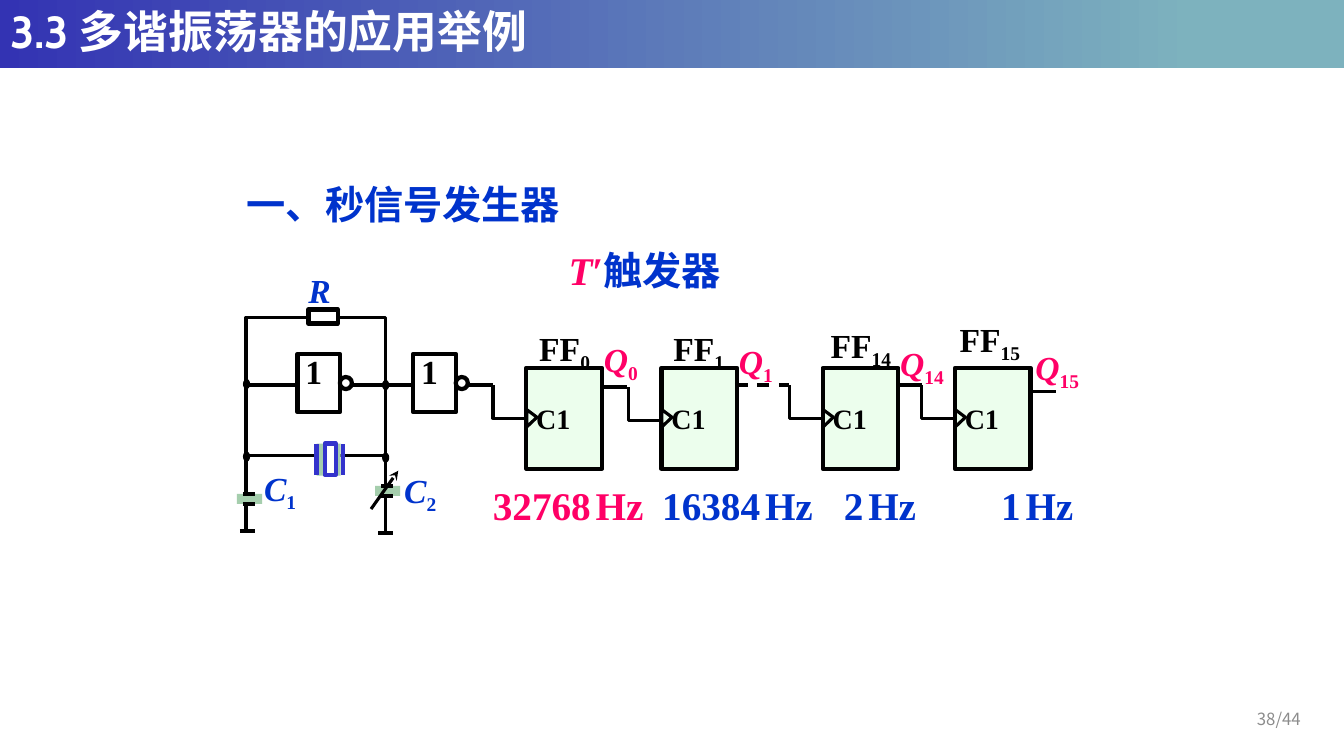
"""Build the slide showing a one-second signal generator circuit."""
from lxml.etree import SubElement
from pptx import Presentation
from pptx.dml.color import RGBColor
from pptx.enum.dml import MSO_LINE
from pptx.enum.shapes import MSO_CONNECTOR, MSO_SHAPE
from pptx.enum.text import MSO_ANCHOR, MSO_AUTO_SIZE, PP_ALIGN
from pptx.oxml.ns import qn
from pptx.util import Inches, Pt

BLACK = RGBColor(0x00, 0x00, 0x00)
WHITE = RGBColor(0xFF, 0xFF, 0xFF)
BLUE = RGBColor(0x00, 0x33, 0xCC)
PINK = RGBColor(0xFF, 0x00, 0x66)
CRYSTAL_BLUE = RGBColor(0x33, 0x33, 0xCC)
GREEN = RGBColor(0xA5, 0xCE, 0xAD)
MINT = RGBColor(0xEC, 0xFE, 0xED)
GRAY = RGBColor(0x8C, 0x8C, 0x8C)
BAND_START = RGBColor(0x33, 0x33, 0xB3)
BAND_END = RGBColor(0x7D, 0xB2, 0xBE)

SUBSCRIPT = {"italic": False, "baseline": -25000}

deck = Presentation()
deck.slide_width, deck.slide_height = Inches(13.33), Inches(7.5)
page = deck.slides.add_slide(deck.slide_layouts[5])


def write(place, *spans, wrap=True, anchor=MSO_ANCHOR.TOP, align=PP_ALIGN.LEFT, **base):
    """Fill a shape, or a new text box at (left, top, width, height), with (text, format) spans."""
    box = page.shapes.add_textbox(*map(Inches, place)) if isinstance(place, tuple) else place
    frame = box.text_frame
    frame.word_wrap, frame.vertical_anchor = wrap, anchor
    frame.auto_size = MSO_AUTO_SIZE.NONE
    para = frame.paragraphs[0]
    para.alignment = align
    for text, changes in spans:
        look = {"size": 24, "color": BLACK, "bold": True, "italic": False,
                "font": "Times New Roman", "baseline": 0, **base, **changes}
        span = para.add_run()
        span.text = text
        span.font.name, span.font.size = look["font"], Pt(look["size"])
        span.font.bold, span.font.italic = look["bold"], look["italic"]
        span.font.color.rgb = look["color"]
        properties = span._r.get_or_add_rPr()
        SubElement(properties, qn("a:ea")).set("typeface", "Noto Sans CJK SC")
        if look["baseline"]:
            properties.set("baseline", str(look["baseline"]))
    return para


def draw(kind, start_x, start_y, x, y, fill=None, line=BLACK, weight=2.25):
    """Draw a connector from start to (x, y), or a preset shape of size x by y."""
    place = map(Inches, (start_x, start_y, x, y))
    if kind is MSO_CONNECTOR.STRAIGHT:
        item = page.shapes.add_connector(kind, *place)
        SubElement(item._element.spPr, qn("a:effectLst"))
    else:
        item = page.shapes.add_shape(kind, *place)
        item.shadow.inherit = False
        if fill is None:
            item.fill.background()
        else:
            item.fill.solid()
            item.fill.fore_color.rgb = fill
    if line is None:
        item.line.fill.background()
    else:
        item.line.color.rgb = line
        item.line.width = Pt(weight)
    return item


title = page.shapes.title
title.left, title.top, title.width, title.height = map(Inches, (0, 0, 13.33, 0.68))
title.fill.gradient()
title.fill.gradient_angle = 0
for stop, color, position in zip(title.fill.gradient_stops, (BAND_START, BAND_END), (0, 0.89)):
    stop.color.rgb, stop.position = color, position
heading = write(title, ("3.3 多谐振荡器的应用举例", {}), size=32, color=WHITE,
                font="Cabin", anchor=MSO_ANCHOR.MIDDLE)
heading.line_spacing = 0.9

write((2.35, 1.74, 4, 0.57), ("一、秒信号发生器", {}), size=28, color=BLUE)
write((5.54, 2.39, 1.99, 0.57), ("T", {"italic": True}), ("′", {}),
      ("触发器", {"color": BLUE}), size=28, color=PINK)

# Oscillator
draw(MSO_SHAPE.RECTANGLE, 2.44, 3.15, 1.38, 1.37)
for wire in ((2.46, 3.82, 4.89, 3.82), (2.44, 4.55, 2.44, 5.28), (3.82, 4.55, 3.82, 5.28)):
    draw(MSO_CONNECTOR.STRAIGHT, *wire)
for left, top in ((2.42, 3.77), (3.8, 3.78), (3.8, 4.5), (2.42, 4.49)):
    draw(MSO_SHAPE.OVAL, left, top, 0.05, 0.08, BLACK, weight=1.5)
for left in (2.95, 4.1):
    draw(MSO_SHAPE.RECTANGLE, left, 3.51, 0.42, 0.58, WHITE, weight=3)
    draw(MSO_SHAPE.OVAL, left + 0.42, 3.74, 0.12, 0.12, WHITE, weight=3)
    write((left - 0.02, 3.43, 0.37, 0.5), ("1", {}), wrap=False)
draw(MSO_SHAPE.RECTANGLE, 3.06, 3.07, 0.29, 0.14, WHITE, weight=3)

draw(MSO_SHAPE.RECTANGLE, 3.14, 4.4, 0.24, 0.32, GREEN, None)
draw(MSO_SHAPE.RECTANGLE, 3.22, 4.4, 0.11, 0.31, WHITE, CRYSTAL_BLUE, 3)
for x in (3.14, 3.4):
    draw(MSO_CONNECTOR.STRAIGHT, x, 4.71, x, 4.4, line=CRYSTAL_BLUE, weight=3)

for left, top, ground in ((2.35, 4.9, 5.27), (3.72, 4.82, 5.29)):
    draw(MSO_SHAPE.RECTANGLE, left, top, 0.25, 0.1, GREEN, None)
    for y in (top, top + 0.1):
        draw(MSO_CONNECTOR.STRAIGHT, left + 0.06, y, left + 0.18, y, weight=3)
    draw(MSO_CONNECTOR.STRAIGHT, left + 0.03, ground, left + 0.18, ground, weight=3)
trimmer = draw(MSO_CONNECTOR.STRAIGHT, 3.68, 5.05, 3.95, 4.67)
SubElement(trimmer.line._get_or_add_ln(), qn("a:tailEnd")).set("type", "stealth")

write((2.96, 2.63, 0.83, 0.5), ("R", {}), color=BLUE, italic=True)
for number, left, top in (("1", 2.52, 4.59), ("2", 3.91, 4.61)):
    write((left, top, 0.85, 0.5), ("C", {}), (number, SUBSCRIPT), color=BLUE, italic=True)

# Divider chain
for left, wire_y in ((5.22, 3.82), (6.56, 3.84), (8.16, 3.82), (9.47, 3.82)):
    flip_flop = draw(MSO_SHAPE.RECTANGLE, left, 3.65, 0.75, 1, MINT, weight=3)
    write(flip_flop, ("C1", {}), size=20, wrap=False, anchor=MSO_ANCHOR.MIDDLE)
    clock = draw(MSO_SHAPE.ISOSCELES_TRIANGLE, left - 0.03, 4.1, 0.17, 0.1, MINT)
    clock.rotation = 90
    clock.adjustments[0] = 0.44
    outline = page.shapes.build_freeform(Inches(left - 0.33), Inches(wire_y))
    outline.add_line_segments([(Inches(left - 0.33), Inches(wire_y + 0.33)),
                               (Inches(left), Inches(wire_y + 0.33))], close=False)
    step = outline.convert_to_shape()
    step.shadow.inherit = False
    step.fill.background()
    step.line.color.rgb, step.line.width = BLACK, Pt(2.25)

for start, end, y, dash in ((5.97, 6.22, 3.84, None), (7.29, 7.83, 3.82, MSO_LINE.DASH),
                            (8.89, 9.14, 3.82, None), (10.22, 10.47, 3.88, None)):
    draw(MSO_CONNECTOR.STRAIGHT, start, y, end, y).line.dash_style = dash

for number, name_left, name_top, output_left, output_top in (
        ("0", 5.25, 3.2, 5.89, 3.31), ("1", 6.58, 3.2, 7.23, 3.33),
        ("14", 8.14, 3.17, 8.83, 3.35), ("15", 9.42, 3.11, 10.17, 3.39)):
    write((name_left, name_top, 1, 0.5), ("FF", {}), (number, SUBSCRIPT))
    write((output_left, output_top, 0.74, 0.5), ("Q", {}), (number, SUBSCRIPT),
          color=PINK, italic=True)

for value, left, width, color in (("32768", 4.79, 2.15, PINK), ("16384", 6.47, 1.77, BLUE),
                                  ("2", 8.27, 1.29, BLUE), ("1", 9.83, 1.21, BLUE)):
    write((left, 4.73, width, 0.57), (value, {}), (" ", {"size": 14}), ("Hz", {}),
          size=28, color=color)

write((11.69, 6.93, 1.31, 0.4), ("38/44", {}), size=12, color=GRAY, bold=False,
      font="Noto Sans CJK SC", anchor=MSO_ANCHOR.MIDDLE, align=PP_ALIGN.RIGHT)

deck.save("out.pptx")
